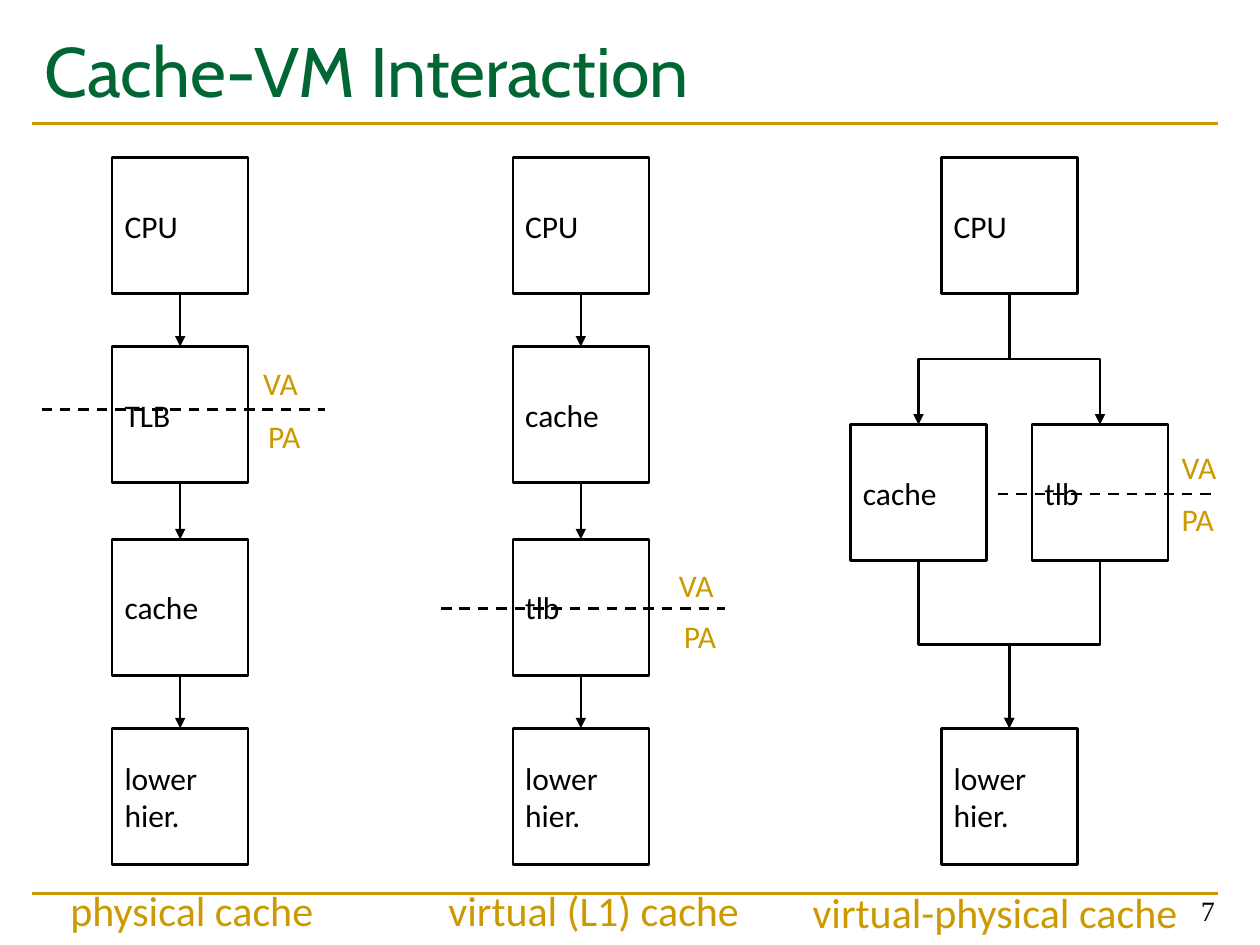
from dataclasses import dataclass
from itertools import pairwise

from lxml import etree
from pptx import Presentation
from pptx.dml.color import RGBColor
from pptx.enum.dml import MSO_LINE
from pptx.enum.shapes import MSO_CONNECTOR, MSO_SHAPE
from pptx.enum.text import MSO_ANCHOR, PP_ALIGN
from pptx.oxml.ns import qn
from pptx.util import Inches, Pt

RECT = MSO_SHAPE.RECTANGLE
STRAIGHT, ELBOW = MSO_CONNECTOR.STRAIGHT, MSO_CONNECTOR.ELBOW
DASH = MSO_LINE.DASH
TOP, MIDDLE, BOTTOM = MSO_ANCHOR.TOP, MSO_ANCHOR.MIDDLE, MSO_ANCHOR.BOTTOM
LEFT, RIGHT = PP_ALIGN.LEFT, PP_ALIGN.RIGHT
COLORS = {"ink": "000000", "gold": "CC9900", "title": "006633"}
SIDE = 1.08
ROWS = (1.25, 2.75, 4.28, 5.78)
LOWER = "lower\nhier."


@dataclass
class Stack:
    left: float
    labels: tuple[str, ...]


@dataclass
class Boundary:
    x1: float
    x2: float
    y: float
    va: tuple[float, float]
    pa: tuple[float, float]


@dataclass
class Caption:
    text: str
    left: float
    top: float
    width: float


STACKS = (
    Stack(0.89, ("CPU", "TLB", "cache", LOWER)),
    Stack(4.07, ("CPU", "cache", "tlb", LOWER)),
)
BOUNDARIES = (
    Boundary(0.33, 2.58, 3.25, (1.99, 2.84), (2.03, 3.26)),
    Boundary(3.5, 5.75, 4.83, (5.29, 4.44), (5.33, 4.85)),
    Boundary(7.92, 9.67, 3.92, (9.28, 3.51), (9.28, 3.92)),
)
CAPTIONS = (
    Caption("physical cache", 0.46, 6.97, 2.14),
    Caption("virtual (L1) cache", 3.46, 6.97, 2.51),
    Caption("virtual-physical cache", 6.35, 6.99, 3.11),
)


def rgb(name: str) -> RGBColor:
    return RGBColor.from_string(COLORS[name])


def write(tf, text: str, size: int, color: str, font="Calibri",
          anchor=TOP, align=LEFT, wrap=True) -> None:
    tf.word_wrap = wrap
    tf.vertical_anchor = anchor
    for i, line in enumerate(text.split("\n")):
        p = tf.add_paragraph() if i else tf.paragraphs[0]
        p.alignment = align
        r = p.add_run()
        r.text = line
        r.font.size = Pt(size)
        r.font.name = font
        r.font.color.rgb = rgb(color)


def add_label(s, text: str, left: float, top: float, width: float,
              height: float, size: int, color: str, **style) -> None:
    tb = s.shapes.add_textbox(*map(Inches, (left, top, width, height)))
    write(tb.text_frame, text, size, color, **style)


def add_box(s, text: str, left: float, top: float):
    sp = s.shapes.add_shape(RECT, *map(Inches, (left, top, SIDE, SIDE)))
    sp.shadow.inherit = False
    sp.fill.background()
    sp.line.color.rgb = rgb("ink")
    sp.line.width = Pt(1.5)
    write(sp.text_frame, text, 18, "ink", anchor=MIDDLE)
    return sp


def add_line(s, x1: float, y1: float, x2: float, y2: float,
             color="ink", kind=STRAIGHT, arrow=False):
    cx = s.shapes.add_connector(kind, *map(Inches, (x1, y1, x2, y2)))
    cx.line.color.rgb = rgb(color)
    cx.line.width = Pt(1.5)
    if arrow:
        etree.SubElement(cx.line._get_or_add_ln(), qn("a:tailEnd"), type="triangle")
    etree.SubElement(cx._element.spPr, qn("a:effectLst"))
    return cx


def link(s, upper, lower) -> None:
    cx = add_line(s, 0, 0, 1, 1, arrow=True)
    cx.begin_connect(upper, 2)
    cx.end_connect(lower, 0)


def add_vertical_elbow(s, upper, lower) -> None:
    x1, y1 = upper.left + upper.width / 2, upper.top + upper.height
    x2, y2 = lower.left + lower.width / 2, lower.top
    x1, y1, x2, y2 = (Inches(1) and v / Inches(1) for v in (x1, y1, x2, y2))
    mid_x, mid_y = (x1 + x2) / 2, (y1 + y2) / 2
    rightward = x2 > x1
    half_w = (y2 - y1) / 2 * (-1 if rightward else 1)
    half_h = abs(x2 - x1) / 2
    cx = add_line(s, mid_x - half_w, mid_y - half_h, mid_x + half_w,
                  mid_y + half_h, kind=ELBOW, arrow=True)
    degrees = 270 if rightward else 90
    cx._element.spPr.find(qn("a:xfrm")).set("rot", str(degrees * 60000))


def main() -> None:
    prs = Presentation()
    prs.slide_width, prs.slide_height = Inches(10), Inches(7.5)
    s = prs.slides.add_slide(prs.slide_layouts[5])

    for y in (7.09, 0.98):
        add_line(s, 0.25, y, 9.67, y, "gold")

    title = s.shapes.title
    title.left, title.top, title.width, title.height = map(
        Inches, (0.25, 0.17, 9.42, 1.17))
    write(title.text_frame, "Cache-VM Interaction", 40, "title", font="Cabin")
    add_label(s, "7", 7.41, 6.91, 2.33, 0.5, 16, "ink",
              font="Times New Roman", anchor=BOTTOM, align=RIGHT)

    for stack in STACKS:
        boxes = [add_box(s, text, stack.left, top)
                 for text, top in zip(stack.labels, ROWS)]
        for upper, lower in pairwise(boxes):
            link(s, upper, lower)

    cpu = add_box(s, "CPU", 7.47, ROWS[0])
    lower_hier = add_box(s, LOWER, 7.47, ROWS[-1])
    for text, left in (("cache", 6.75), ("tlb", 8.19)):
        box = add_box(s, text, left, 3.37)
        add_vertical_elbow(s, cpu, box)
        add_vertical_elbow(s, box, lower_hier)

    for b in BOUNDARIES:
        add_line(s, b.x1, b.y, b.x2, b.y).line.dash_style = DASH
        add_label(s, "VA", *b.va, 0.48, 0.4, 18, "gold", wrap=False)
        add_label(s, "PA", *b.pa, 0.47, 0.4, 18, "gold", wrap=False)

    for c in CAPTIONS:
        add_label(s, c.text, c.left, c.top, c.width, 0.5, 24, "gold", wrap=False)

    prs.save("out.pptx")


if __name__ == "__main__":
    main()
